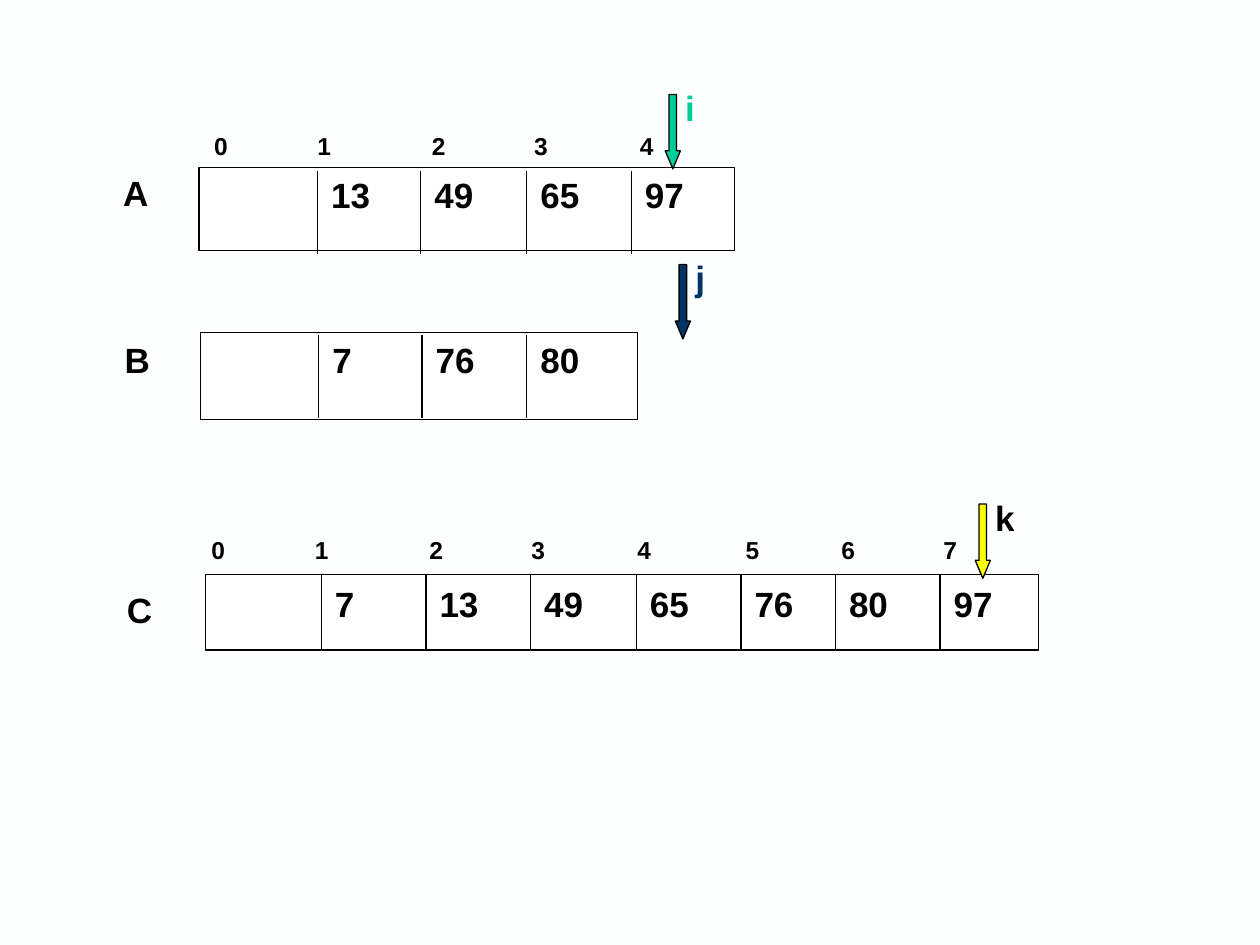
from lxml.etree import SubElement
from pptx import Presentation
from pptx.dml.color import RGBColor
from pptx.enum.shapes import MSO_CONNECTOR, MSO_SHAPE
from pptx.enum.text import MSO_AUTO_SIZE
from pptx.oxml.ns import qn
from pptx.util import Inches, Pt

BLACK, WHITE = "000000", "FFFFFF"
INDEX_STOPS = [0.82, 1.73, 2.54, 3.38, 4.24, 5, 5.81]

# box: left, top, width, height; dividers: x of each cell's left edge
ARRAYS = [
    dict(name="A", name_at=(0.88, 1.31), box=(1.58, 1.33, 4.25, 0.66),
         dividers=[2.52, 3.34, 4.18, 5.01], divider_y=(1.36, 2.02),
         values=[13, 49, 65, 97], value_top=1.33, index_box=(1.6, 0.99, 4.25, 0.34)),
    dict(name="B", name_at=(0.89, 2.64), box=(1.59, 2.64, 3.47, 0.69),
         dividers=[2.53, 3.35, 4.18], divider_y=(2.66, 3.32),
         values=[7, 76, 80], value_top=2.64, index_box=None),
    dict(name="C", name_at=(0.91, 4.62), box=(1.63, 4.56, 6.61, 0.6),
         dividers=[2.55, 3.38, 4.21, 5.05, 5.88, 6.63, 7.46], divider_y=(4.56, 5.17),
         values=[7, 13, 49, 65, 76, 80, 97], value_top=4.57,
         index_box=(1.58, 4.2, 6.66, 0.34)),
]
# name, arrow left, arrow top, arrow colour, name colour
POINTERS = [
    ("i", 5.28, 0.75, "00CC99", "00CC99"),
    ("j", 5.36, 2.1, "003366", "003366"),
    ("k", 7.74, 4, "FAFD00", BLACK),
]


def paint(part, colour):
    part.solid()
    part.fore_color.rgb = RGBColor.from_string(colour)


def add_label(shapes, text, box, size=20, colour=BLACK, stops=()):
    frame = shapes.add_textbox(*map(Inches, box)).text_frame
    frame.word_wrap = True
    frame.auto_size = MSO_AUTO_SIZE.SHAPE_TO_FIT_TEXT
    paragraph = frame.paragraphs[0]
    if stops:
        tabs = SubElement(paragraph._p.get_or_add_pPr(), qn("a:tabLst"))
        for stop in stops:
            SubElement(tabs, qn("a:tab"), pos=str(Inches(stop)), algn="l")
    run = paragraph.add_run()
    run.text = text
    for key, value in dict(name="Arial", size=Pt(size), bold=True).items():
        setattr(run.font, key, value)
    run.font.color.rgb = RGBColor.from_string(colour)


def outline(line):
    paint(line.fill, BLACK)
    line.width = Pt(0.75)


def add_outlined(shapes, kind, box, fill):
    shape = shapes.add_shape(kind, *map(Inches, box))
    shape.shadow.inherit = False
    paint(shape.fill, fill)
    outline(shape.line)
    return shape


def add_divider(shapes, x, top, bottom):
    divider = shapes.add_connector(MSO_CONNECTOR.STRAIGHT, *map(Inches, (x, top, x, bottom)))
    SubElement(divider._element.spPr, qn("a:effectLst"))
    outline(divider.line)


def add_array(shapes, array):
    add_outlined(shapes, MSO_SHAPE.RECTANGLE, array["box"], WHITE)
    add_label(shapes, array["name"], (*array["name_at"], 0.67, 0.44))
    for x, value in zip(array["dividers"], array["values"]):
        add_divider(shapes, x, *array["divider_y"])
        add_label(shapes, str(value), (x + 0.01, array["value_top"], 0.67, 0.44))
    if array["index_box"]:
        count = len(array["values"])
        indices = "\t".join(str(index) for index in range(count + 1))
        add_label(shapes, indices, array["index_box"], 14, stops=INDEX_STOPS[:count])


def add_pointer(shapes, name, left, top, arrow_colour, name_colour):
    pointer = shapes.add_group_shape().shapes
    arrow = add_outlined(pointer, MSO_SHAPE.DOWN_ARROW, (left, top, 0.12, 0.59), arrow_colour)
    arrow.adjustments[0] = 0.5
    arrow.adjustments[1] = 1.19
    add_label(pointer, name, (left + 0.06, top - 0.11, 0.53, 0.44), colour=name_colour)


def main():
    deck = Presentation()
    deck.slide_width, deck.slide_height = Inches(10), Inches(7.5)
    slide = deck.slides.add_slide(deck.slide_layouts[6])
    paint(slide.background.fill, "FEFFFF")
    for array in ARRAYS:
        add_array(slide.shapes, array)
    for pointer in POINTERS:
        add_pointer(slide.shapes, *pointer)
    deck.save("out.pptx")


if __name__ == "__main__":
    main()
